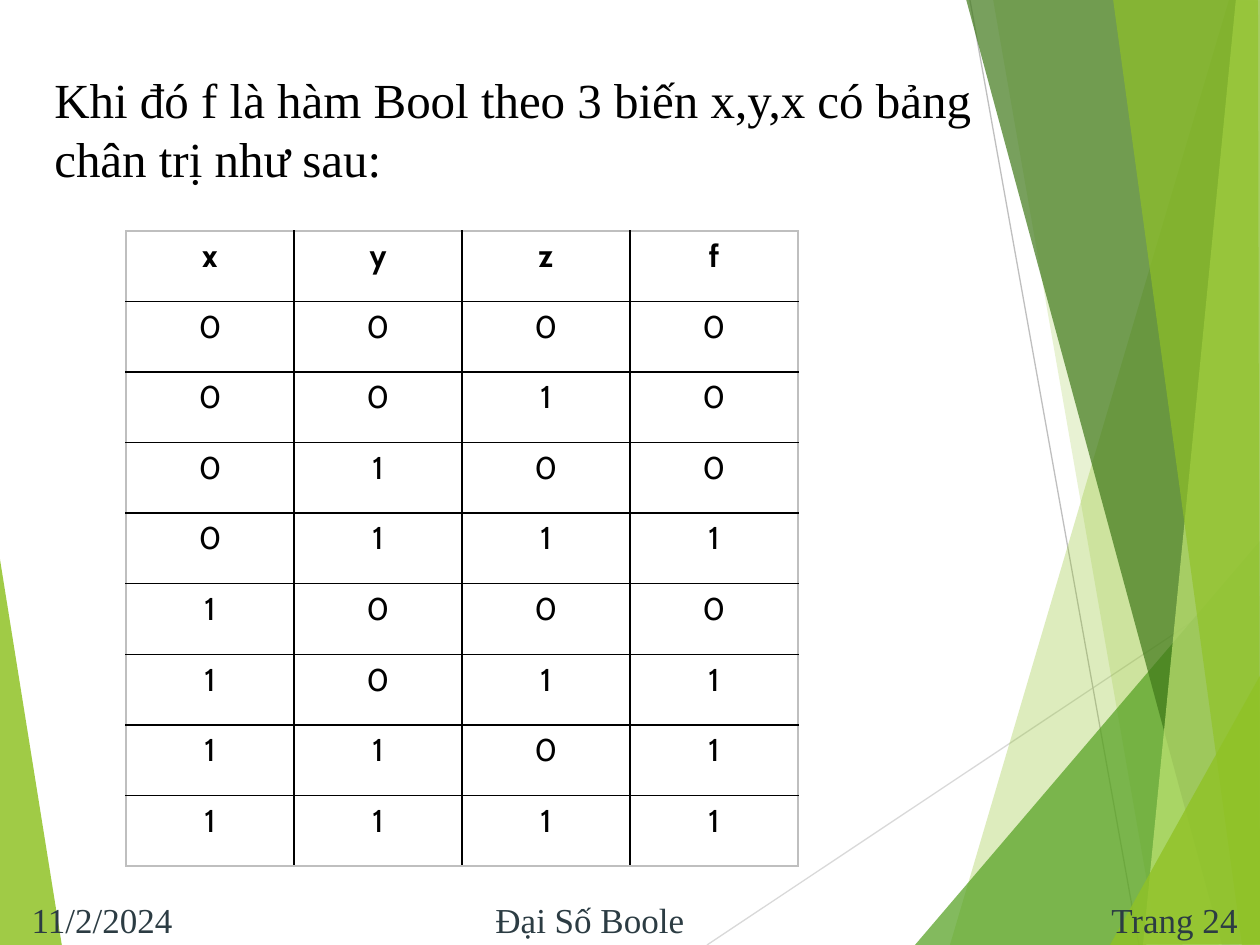
"""Build the truth-table slide for a Boolean function of three variables."""
from itertools import product

from lxml import etree
from pptx import Presentation
from pptx import util as u
from pptx.dml.color import RGBColor
from pptx.enum import shapes, text
from pptx.oxml import ns

SCALE = 914400 / 126
BLACK = RGBColor(0x00, 0x00, 0x00)
SLATE = RGBColor(0x2C, 0x3C, 0x43)
LIME = RGBColor(0x90, 0xC2, 0x26)
GREEN = RGBColor(0x54, 0xA0, 0x21)
FOREST = RGBColor(0x3F, 0x78, 0x19)
PALE = RGBColor(0xC0, 0xE4, 0x74)
SILVER = RGBColor(0xBF, 0xBF, 0xBF)
MIST = RGBColor(0xD9, 0xD9, 0xD9)


def px(n):
    return u.Emu(round(n * SCALE))


def write(tf, words, align, **fmt):
    p = tf.paragraphs[0]
    p.alignment = align
    r = p.add_run()
    r.text = words
    r.font.color.rgb = fmt.pop("color")
    for key, value in fmt.items():
        setattr(r.font, key, value)


prs = Presentation()
prs.slide_width, prs.slide_height = px(1260), px(945)
s = prs.slides.add_slide(prs.slide_layouts[6])

lines = [((707, 945), (1261, 576), MIST), ((970, 0), (1139, 945), SILVER)]
facets = [
    ([(-1, 553), (62, 946), (-1, 945)], LIME, 85),
    ([(1229, 0), (950, 945), (1262, 946), (1261, 1)], LIME, 30),
    ([(993, -1), (1158, 945), (1261, 945), (1261, -1)], LIME, 20),
    ([(915, 945), (1260, 541), (1261, 945)], GREEN, 72),
    ([(966, -1), (1222, 945), (1261, 944), (1261, -1)], FOREST, 70),
    ([(1236, -1), (1143, 945), (1261, 945), (1260, -1)], PALE, 70),
    ([(1113, -1), (1242, 945), (1260, 945), (1258, -1)], LIME, 65),
    ([(1110, 945), (1261, 674), (1261, 944)], LIME, 80),
]
for i, (points, color, opacity) in enumerate(facets):
    fb = s.shapes.build_freeform(*points[0], scale=SCALE)
    fb.add_line_segments(points[1:], close=True)
    sp = fb.convert_to_shape()
    sp.shadow.inherit = False
    sp.line.fill.background()
    sp.fill.solid()
    sp.fill.fore_color.rgb = color
    clr = sp.fill._xPr.find(".//" + ns.qn("a:srgbClr"))
    etree.SubElement(clr, ns.qn("a:alpha"), val=str(opacity * 1000))
    if i == 0:
        for start, end, color in lines:
            cx = s.shapes.add_connector(
                shapes.MSO_CONNECTOR.STRAIGHT, *map(px, start + end))
            cx.line.color.rgb = color
            cx.line.width = u.Pt(0.75)
            etree.SubElement(cx._element.spPr, ns.qn("a:effectLst"))

LEFT, CENTER, RIGHT = text.PP_ALIGN.LEFT, text.PP_ALIGN.CENTER, text.PP_ALIGN.RIGHT
TOP, MIDDLE = text.MSO_ANCHOR.TOP, text.MSO_ANCHOR.MIDDLE
boxes = [
    ((42, 63, 1018, 131), "Khi đó f là hàm Bool theo 3 biến x,y,x có bảng chân trị như sau:",
     28, LEFT, TOP, BLACK),
    ((0, 895, 185, 50), "11/2/2024", 20, RIGHT, MIDDLE, SLATE),
    ((483, 895, 243, 50), "Đại Số Boole", 20, LEFT, MIDDLE, SLATE),
    ((1081, 895, 169, 50), "Trang 24", 20, RIGHT, MIDDLE, SLATE),
]
for at, words, size, align, anchor, color in boxes:
    tf = s.shapes.add_textbox(*map(px, at)).text_frame
    tf.word_wrap = True
    tf.vertical_anchor = anchor
    write(tf, words, align, name="Times New Roman", size=u.Pt(size), color=color)

rows = [["x", "y", "z", "f"]]
rows += [[*bits, int(sum(bits) >= 2)] for bits in product((0, 1), repeat=3)]
n_rows, n_cols = len(rows), len(rows[0])
frame = s.shapes.add_table(n_rows, n_cols, px(126), px(231), px(672), px(635))
table = frame.table
table.first_row = table.horz_banding = False
for column in table.columns:
    column.width = px(672 / n_cols)
for row in table.rows:
    row.height = px(635 / n_rows)

for i, values in enumerate(rows):
    for j, value in enumerate(values):
        cell = table.cell(i, j)
        write(cell.text_frame, str(value), CENTER, name="Cabin",
              size=u.Pt(18), bold=i == 0, color=BLACK)
        tcPr = cell._tc.get_or_add_tcPr()
        outer = {"L": j == 0, "R": j == n_cols - 1, "T": i == 0, "B": i == n_rows - 1}
        for side, is_outer in outer.items():
            ln = etree.SubElement(tcPr, ns.qn("a:ln" + side), w=str(u.Pt(1)))
            fill = etree.SubElement(ln, ns.qn("a:solidFill"))
            etree.SubElement(fill, ns.qn("a:srgbClr"), val=str(SILVER if is_outer else BLACK))
        cell.fill.background()

prs.save("out.pptx")
